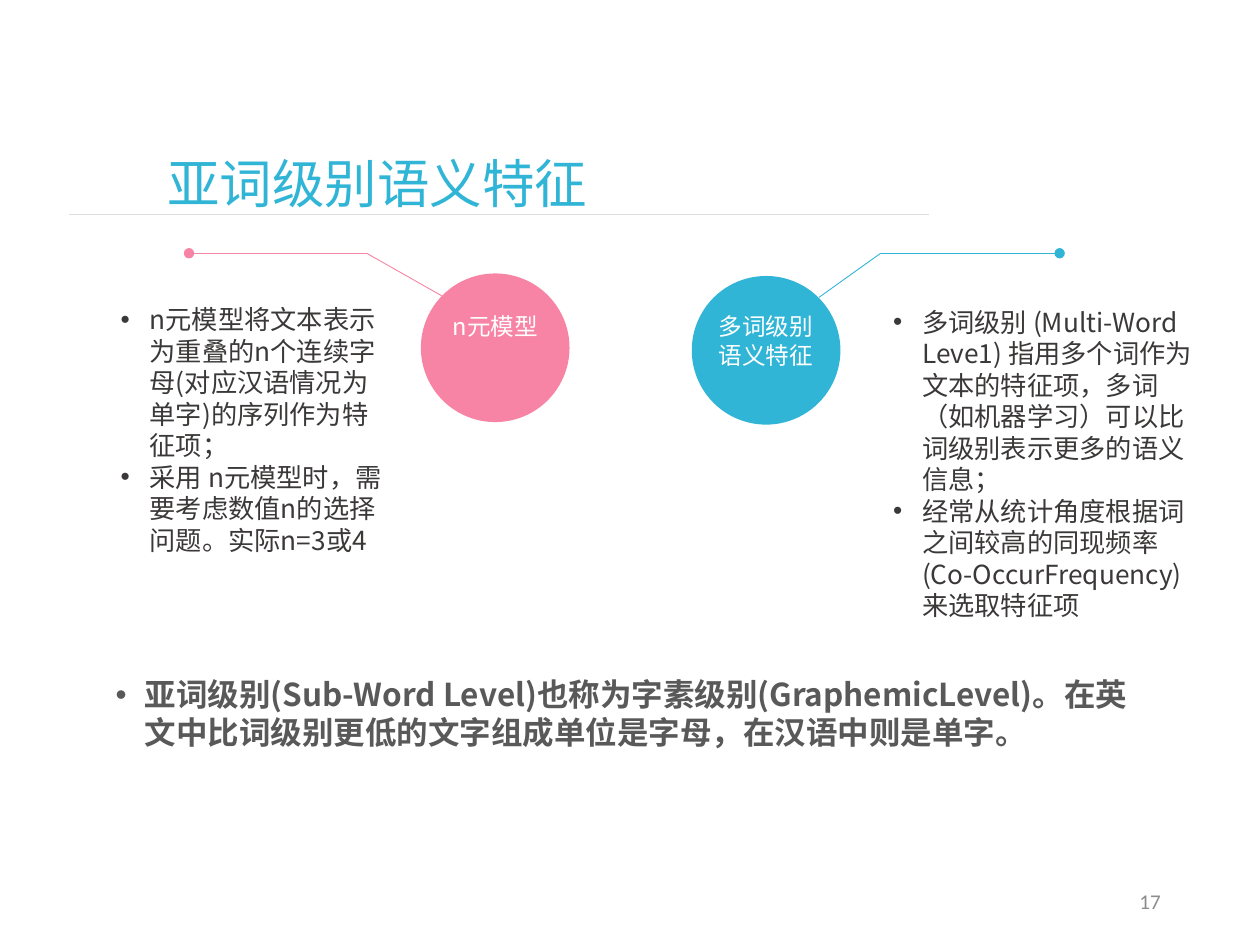
"""Build the slide on sub-word semantic features."""
from lxml.etree import SubElement
from pptx import Presentation
from pptx.dml.color import RGBColor
from pptx.enum.shapes import MSO_CONNECTOR, MSO_SHAPE
from pptx.enum.text import MSO_ANCHOR, PP_ALIGN
from pptx.oxml.ns import qn
from pptx.util import Inches, Pt

CJK = "Noto Sans CJK SC"
PINK, BLUE, WHITE = "F784A5", "31B5D6", "FFFFFF"
DARK, GRAY, PALE, RULE = "3B3838", "595959", "8C8C8C", "DEDEDE"
DIAMETER = 1.18
LEADER_Y = 2.01

TITLE = "亚词级别语义特征"
SUMMARY = "亚词级别(Sub-Word Level)也称为字素级别(GraphemicLevel)。在英文中比词级别更低的文字组成单位是字母，在汉语中则是单字。"
TOPICS = [
    dict(
        color=PINK, circle=(3.34, 2.17), label=["n元模型"], label_width=0.9,
        bend=2.91, dot=1.5, touch=(3.51, 2.35), box=(0.86, 2.36, 2.36, 2.12),
        points=[
            "n元模型将文本表示为重叠的n个连续字母(对应汉语情况为单字)的序列作为特征项；",
            "采用 n元模型时，需要考虑数值n的选择问题。实际n=3或4",
        ],
    ),
    dict(
        color=BLUE, circle=(5.49, 2.19), label=["多词级别", "语义特征"], label_width=1.1,
        bend=6.99, dot=8.41, touch=(6.5, 2.36), box=(6.99, 2.38, 2.69, 2.88),
        points=[
            "多词级别 (Multi-Word Leve1) 指用多个词作为文本的特征项，多词（如机器学习）可以比词级别表示更多的语义信息；",
            "经常从统计角度根据词之间较高的同现频率(Co-OccurFrequency) 来选取特征项",
        ],
    ),
]


def rgb(value):
    """Turn a hex string into a colour."""
    return RGBColor.from_string(value)


def add_text(s, box, lines, size, color, font=CJK, bold=False, bullet=False,
             align=PP_ALIGN.LEFT, anchor=MSO_ANCHOR.TOP):
    """Add a text box with one paragraph for each line."""
    tf = s.shapes.add_textbox(*map(Inches, box)).text_frame
    tf.word_wrap = True
    tf.vertical_anchor = anchor
    for i, line in enumerate(lines):
        p = tf.add_paragraph() if i else tf.paragraphs[0]
        p.alignment = align
        p.line_spacing = Pt(round(size * 1.2, 1))
        if bullet:
            pPr = p._p.get_or_add_pPr()
            pPr.set("marL", str(Inches(0.23)))
            pPr.set("indent", str(-Inches(0.23)))
            SubElement(pPr, qn("a:buFont")).set("typeface", "Arial")
            SubElement(pPr, qn("a:buChar")).set("char", "•")
        r = p.add_run()
        r.text = line
        r.font.name, r.font.size, r.font.bold = font, Pt(size), bold
        r.font.color.rgb = rgb(color)
        SubElement(r._r.get_or_add_rPr(), qn("a:ea")).set("typeface", font)


def add_line(s, start, end, color, dot=False):
    """Draw a thin line, with a dot at its end if asked."""
    c = s.shapes.add_connector(MSO_CONNECTOR.STRAIGHT, *map(Inches, start + end))
    c.line.color.rgb = rgb(color)
    c.line.width = Pt(0.5)
    if dot:
        SubElement(c.line._get_or_add_ln(), qn("a:tailEnd")).set("type", "oval")
    SubElement(c._element.spPr, qn("a:effectLst"))


def add_topic(s, topic):
    """Draw a labelled circle, its leader line and its points."""
    x, y = topic["circle"]
    sp = s.shapes.add_shape(MSO_SHAPE.FLOWCHART_CONNECTOR,
                            *map(Inches, (x, y, DIAMETER, DIAMETER)))
    sp.shadow.inherit = False
    sp.fill.solid()
    sp.fill.fore_color.rgb = rgb(topic["color"])
    sp.line.fill.background()
    width = topic["label_width"]
    add_text(s, (x + (DIAMETER - width) / 2, 2.43, width, 0.56), topic["label"],
             13.5, WHITE, align=PP_ALIGN.CENTER)
    bend = (topic["bend"], LEADER_Y)
    add_line(s, bend, (topic["dot"], LEADER_Y), topic["color"], dot=True)
    add_line(s, bend, topic["touch"], topic["color"])
    add_text(s, topic["box"], topic["points"], 15, DARK, bullet=True)


def main():
    """Build and save the slide."""
    prs = Presentation()
    prs.slide_width, prs.slide_height = Inches(10), Inches(7.5)
    s = prs.slides.add_slide(prs.slide_layouts[6])
    add_text(s, (0.82, 5.31, 8.46, 0.71), [SUMMARY], 18, GRAY, bold=True, bullet=True)
    add_line(s, (0.55, 1.7), (7.37, 1.7), RULE)
    add_text(s, (1.23, 1.15, 6.37, 0.61), [TITLE], 30, BLUE)
    for topic in TOPICS:
        add_topic(s, topic)
    add_text(s, (7.06, 6.95, 2.25, 0.4), ["17"], 12, PALE, font="Calibri",
             align=PP_ALIGN.RIGHT, anchor=MSO_ANCHOR.MIDDLE)
    prs.save("out.pptx")


if __name__ == "__main__":
    main()
